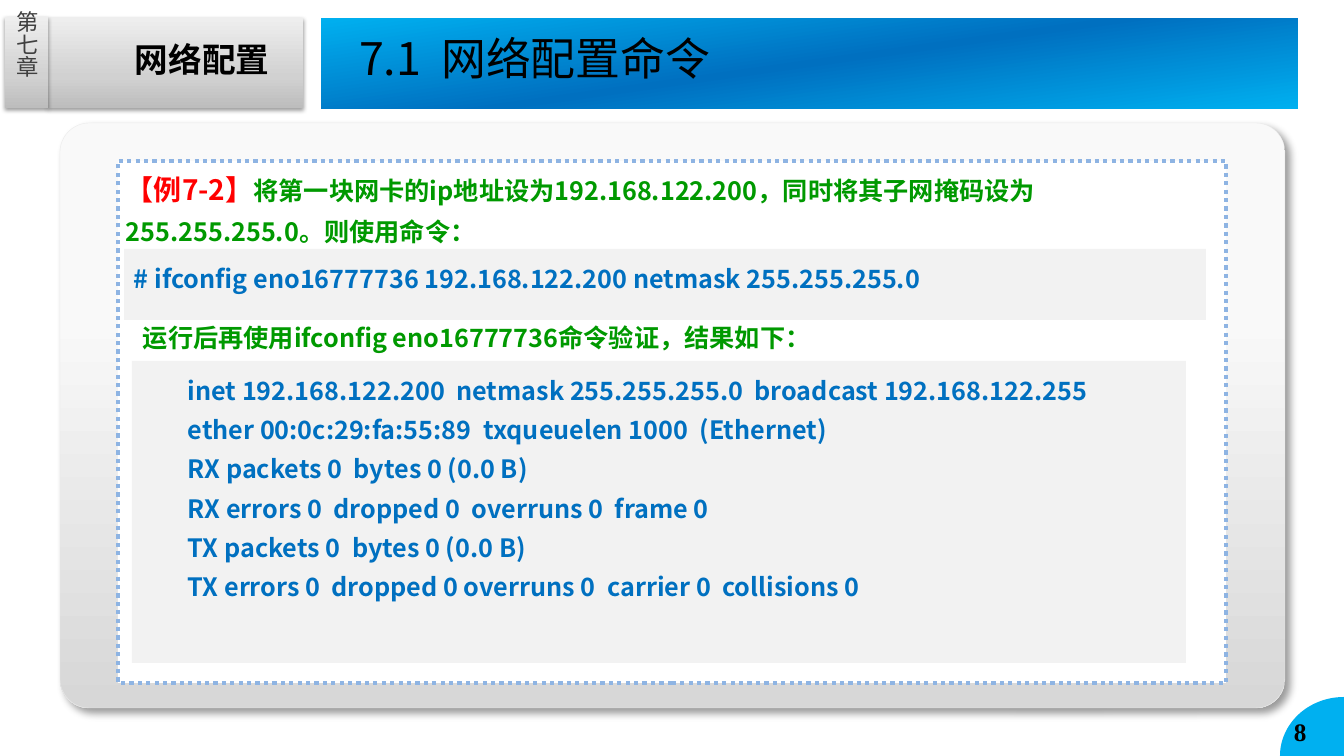
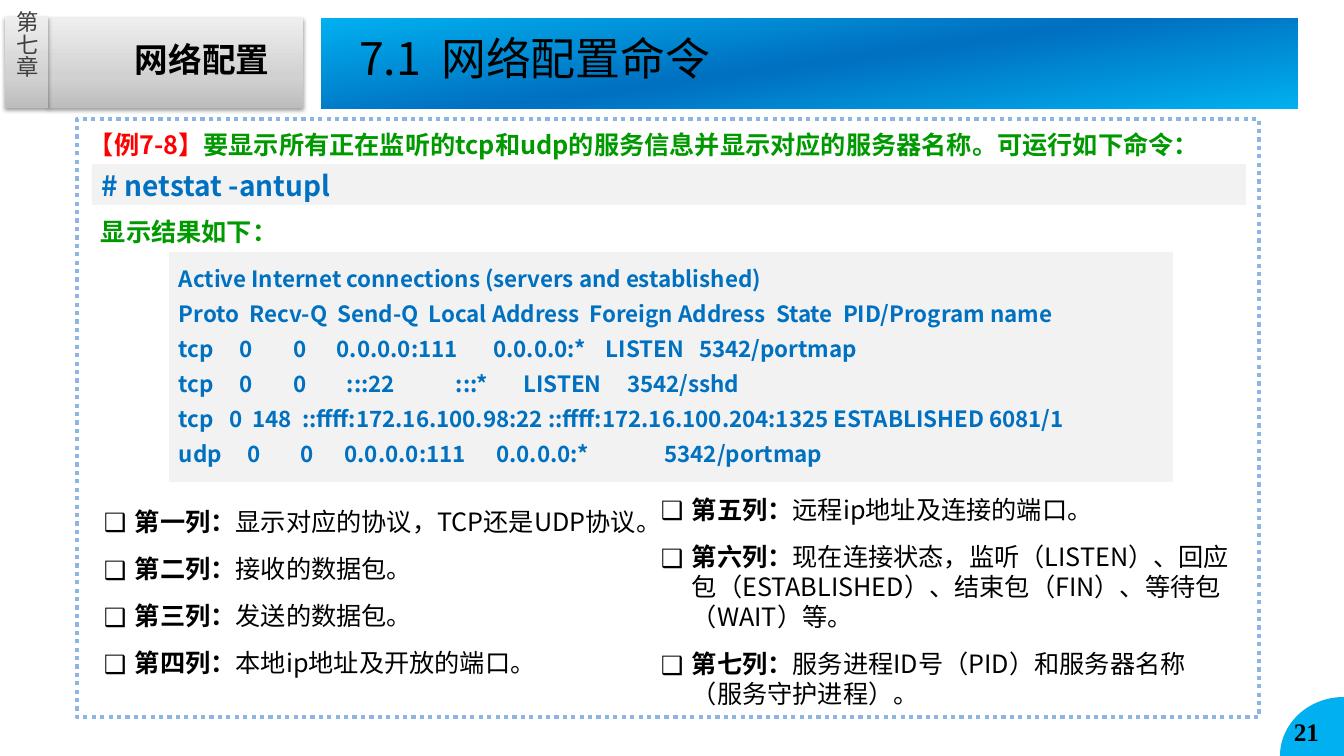
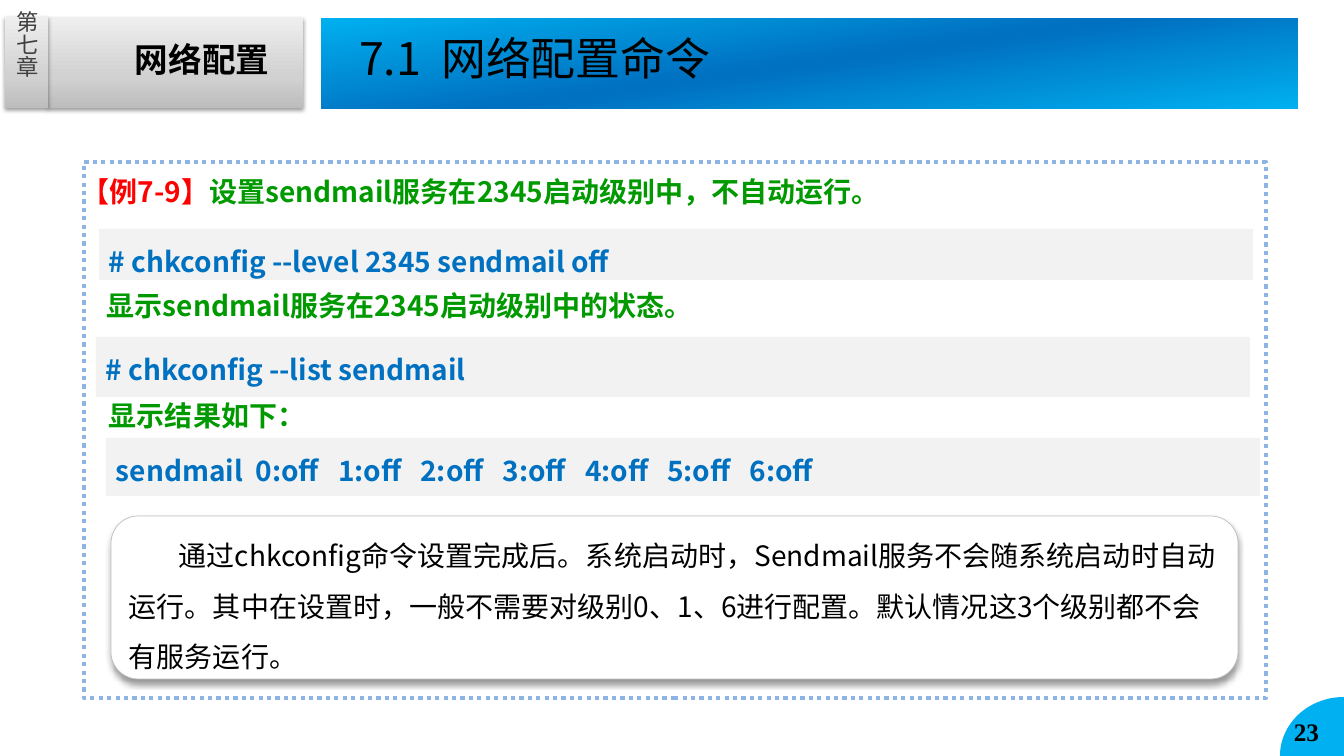
import math
from dataclasses import dataclass

from lxml import etree
from pptx import Presentation
from pptx.dml.color import RGBColor
from pptx.enum.dml import MSO_LINE
from pptx.enum.shapes import MSO_SHAPE
from pptx.enum.text import MSO_ANCHOR, MSO_AUTO_SIZE, PP_ALIGN
from pptx.oxml.ns import qn
from pptx.util import Emu, Pt

RECTANGLE = MSO_SHAPE.RECTANGLE
ROUNDED = MSO_SHAPE.ROUNDED_RECTANGLE
DOTTED = MSO_LINE.ROUND_DOT
TOP, MIDDLE = MSO_ANCHOR.TOP, MSO_ANCHOR.MIDDLE
LEFT = PP_ALIGN.LEFT
FIXED_SIZE = MSO_AUTO_SIZE.NONE

EMU_PER_PX = 914400 / 100.8
PAGE_WIDTH, PAGE_HEIGHT = 1344, 756
TITLE_ONLY = 5
LINE_HEIGHT = 1.2
INDENT = 31

SANS = "Noto Sans CJK SC"
SERIF = "Times New Roman"
HEADING = "Arial"

BLACK = RGBColor(0x00, 0x00, 0x00)
WHITE = RGBColor(0xFF, 0xFF, 0xFF)
DARK_GRAY = RGBColor(0x40, 0x40, 0x40)
CODE_GRAY = RGBColor(0xF2, 0xF2, 0xF2)
PANEL_EDGE = RGBColor(0xEA, 0xEA, 0xEA)
CALLOUT_EDGE = RGBColor(0xBF, 0xBF, 0xBF)
FRAME_BLUE = RGBColor(0x8E, 0xB4, 0xE3)
SKY = RGBColor(0x00, 0xB0, 0xF0)
BLUE = RGBColor(0x00, 0x70, 0xC0)
GREEN = RGBColor(0x00, 0x99, 0x00)
RED = RGBColor(0xFF, 0x00, 0x00)

TAB_GRADIENT = (
    [(0, RGBColor(0xBD, 0xBD, 0xBD)), (35, RGBColor(0xD1, 0xD1, 0xD1)),
     (100, RGBColor(0xEE, 0xEE, 0xEE))], 270)
BAND_GRADIENT = ([(0, SKY), (50, BLUE), (100, SKY)], 262)
PANEL_GRADIENT = (
    [(33, RGBColor(0xF9, 0xF9, 0xF9)), (100, RGBColor(0xD7, 0xD7, 0xD7))], 90)


@dataclass
class Style:
    size: int
    color: RGBColor = BLACK
    bold: bool = False
    font: str = SANS


@dataclass
class Shadow:
    opacity: int
    blur: float
    distance: float
    angle: int


TAB_SHADOW = Shadow(38, 3.1, 1.6, 90)
PANEL_SHADOW = Shadow(40, 6, 5, 45)
CALLOUT_SHADOW = Shadow(40, 4, 3, 90)


def px(length):
    return Emu(round(length * EMU_PER_PX))


def place(shape, at):
    shape.left, shape.top, shape.width, shape.height = map(px, at)


def add_element(parent, tag, **attributes):
    element = etree.SubElement(parent, qn(tag))
    for name, value in attributes.items():
        element.set(name, str(value))
    return element


def add_color(parent, color):
    return add_element(parent, "a:srgbClr", val=color)


def fill_gradient(shape, gradient):
    stops, angle = gradient
    shape.fill.gradient()
    fill = shape.element.spPr.find(qn("a:gradFill"))
    fill.clear()
    stop_list = add_element(fill, "a:gsLst")
    for position, color in stops:
        add_color(add_element(stop_list, "a:gs", pos=position * 1000), color)
    add_element(fill, "a:lin", ang=angle * 60000, scaled=0)


def cast_shadow(shape, shadow):
    effects = shape.element.spPr.find(qn("a:effectLst"))
    outer = add_element(
        effects, "a:outerShdw", blurRad=Pt(shadow.blur), dist=Pt(shadow.distance),
        dir=shadow.angle * 60000, algn="ctr", rotWithShape=0)
    add_element(add_color(outer, BLACK), "a:alpha", val=shadow.opacity * 1000)


def set_outline(shape, color=None, width=0):
    if color is None:
        shape.line.fill.background()
    else:
        shape.line.color.rgb = color
        shape.line.width = Pt(width)


def add_block(page, at, fill, kind=RECTANGLE, edge=None, width=0, shadow=None):
    shape = page.shapes.add_shape(kind, *map(px, at))
    shape.shadow.inherit = False
    if isinstance(fill, RGBColor):
        shape.fill.solid()
        shape.fill.fore_color.rgb = fill
    else:
        fill_gradient(shape, fill)
    set_outline(shape, edge, width)
    if shadow:
        cast_shadow(shape, shadow)
    return shape


def format_span(span, style):
    span.font.size = Pt(style.size)
    span.font.bold = style.bold
    span.font.color.rgb = style.color
    span.font.name = style.font
    east_asian = SANS if style.font == HEADING else style.font
    add_element(span.font._element, "a:ea", typeface=east_asian)


def write_para(para, spans, spacing=1):
    for text, style in spans:
        span = para.add_run()
        span.text = text
        format_span(span, style)
    largest = max(style.size for text, style in spans)
    para.line_spacing = Pt(round(largest * LINE_HEIGHT * spacing, 1))
    para.alignment = LEFT


def prepare_frame(shape, anchor=TOP):
    frame = shape.text_frame
    frame.word_wrap = True
    frame.auto_size = FIXED_SIZE
    frame.vertical_anchor = anchor
    return frame


def set_indent(para, margin, first_line):
    properties = para._p.get_or_add_pPr()
    properties.set("marL", str(px(margin)))
    properties.set("indent", str(px(first_line)))
    return properties


def add_text(page, at, spans, spacing=1):
    box = page.shapes.add_textbox(*map(px, at))
    frame = prepare_frame(box)
    write_para(frame.paragraphs[0], spans, spacing)
    return frame


def add_note(page, at, text, size, label=None, label_size=None):
    spans = [(text, Style(size, GREEN, True))]
    if label:
        spans.insert(0, (label, Style(label_size or size, RED, True)))
    add_text(page, at, spans, 1.2)


def add_code(page, at, lines, size, spacing=1.3):
    frame = prepare_frame(add_block(page, at, CODE_GRAY))
    for index, line in enumerate(lines):
        para = frame.add_paragraph() if index else frame.paragraphs[0]
        write_para(para, [(line, Style(size, BLUE, True))], spacing)


def add_bullets(page, at, items):
    frame = prepare_frame(page.shapes.add_textbox(*map(px, at)))
    for index, (term, meaning) in enumerate(items):
        para = frame.add_paragraph() if index else frame.paragraphs[0]
        properties = set_indent(para, INDENT, -INDENT)
        add_element(properties, "a:buFont", typeface=SANS)
        add_element(properties, "a:buChar", char="❑")
        write_para(para, [(term, Style(18, bold=True)), (meaning, Style(18))])
        para.space_before = Pt(6 if index else 0)
        para.space_after = Pt(6)


def add_callout(page, at, text):
    shape = add_block(page, at, WHITE, ROUNDED, CALLOUT_EDGE, 0.5, CALLOUT_SHADOW)
    para = prepare_frame(shape, MIDDLE).paragraphs[0]
    set_indent(para, 0, 50)
    write_para(para, [(text, Style(20))], 1.5)


def add_frame(page, at):
    shape = add_block(page, at, WHITE, edge=FRAME_BLUE, width=3)
    shape.line.dash_style = DOTTED


def add_title(page):
    title = page.shapes.title
    place(title, (321, 18, 977, 91))
    fill_gradient(title, BAND_GRADIENT)
    frame = prepare_frame(title)
    frame.margin_left, frame.margin_top = px(38), px(13)
    frame.margin_right = frame.margin_bottom = 0
    write_para(frame.paragraphs[0], [("7.1  网络配置命令", Style(32))])


def add_chapter_tab(page):
    add_block(page, (48, 18, 255, 90), TAB_GRADIENT, shadow=TAB_SHADOW)
    add_text(page, (125, 34, 178, 53), [("网络配置", Style(24, bold=True, font=HEADING))])
    add_block(page, (5, 17, 43, 91), TAB_GRADIENT, shadow=TAB_SHADOW)
    frame = add_text(page, (12, 11, 29, 106), [("第七章", Style(16, DARK_GRAY))])
    frame.margin_left = frame.margin_right = frame.margin_top = frame.margin_bottom = 0
    frame.vertical_anchor = MIDDLE
    frame._txBody.bodyPr.set("vert", "eaVert")


def add_page_number(page, number):
    width, height = 64, 59
    angles = [math.radians(step) for step in range(0, 91, 3)]
    arc = [(px(PAGE_WIDTH - width * math.cos(angle)),
            px(PAGE_HEIGHT - height * math.sin(angle))) for angle in angles]
    builder = page.shapes.build_freeform(px(PAGE_WIDTH), px(PAGE_HEIGHT))
    builder.add_line_segments(arc, close=True)
    corner = builder.convert_to_shape()
    corner.shadow.inherit = False
    corner.fill.solid()
    corner.fill.fore_color.rgb = SKY
    set_outline(corner)
    add_text(page, (1284, 711, 60, 40), [(str(number), Style(18, bold=True, font=SERIF))])


def add_page(deck, number):
    page = deck.slides.add_slide(deck.slide_layouts[TITLE_ONLY])
    add_title(page)
    add_chapter_tab(page)
    add_page_number(page, number)
    return page


def build_ifconfig(deck):
    page = add_page(deck, 8)
    panel = add_block(page, (60, 123, 1225, 585), PANEL_GRADIENT, ROUNDED,
                      PANEL_EDGE, 0.25, PANEL_SHADOW)
    panel.adjustments[0] = 0.05
    add_frame(page, (118, 161, 1108, 522))
    add_note(page, (116, 161, 1126, 87),
             "将第一块网卡的ip地址设为192.168.122.200，同时将其子网掩码设为"
             "255.255.255.0。则使用命令：", 18, "【例7-2】", 20)
    add_code(page, (124, 249, 1082, 71),
             ["# ifconfig eno16777736 192.168.122.200 netmask 255.255.255.0"], 18)
    add_note(page, (133, 311, 901, 46),
             "运行后再使用ifconfig eno16777736命令验证，结果如下：", 18)
    add_code(page, (132, 361, 1054, 302), [
        "        inet 192.168.122.200  netmask 255.255.255.0  broadcast 192.168.122.255",
        "        ether 00:0c:29:fa:55:89  txqueuelen 1000  (Ethernet)",
        "        RX packets 0  bytes 0 (0.0 B)",
        "        RX errors 0  dropped 0  overruns 0  frame 0",
        "        TX packets 0  bytes 0 (0.0 B)",
        "        TX errors 0  dropped 0 overruns 0  carrier 0  collisions 0",
    ], 18)


def build_netstat(deck):
    page = add_page(deck, 21)
    add_frame(page, (77, 119, 1182, 598))
    add_code(page, (169, 252, 1004, 230), [
        "Active Internet connections (servers and established)",
        "Proto  Recv-Q  Send-Q  Local Address  Foreign Address  State  PID/Program name",
        "tcp     0        0      0.0.0.0:111       0.0.0.0:*    LISTEN   5342/portmap",
        "tcp     0        0        :::22            :::*       LISTEN     3542/sshd",
        "tcp   0  148  ::ffff:172.16.100.98:22 ::ffff:172.16.100.204:1325 ESTABLISHED 6081/1",
        "udp     0        0      0.0.0.0:111      0.0.0.0:*               5342/portmap",
    ], 16)
    add_note(page, (79, 118, 1180, 46),
             "要显示所有正在监听的tcp和udp的服务信息并显示对应的服务器名称。可运行如下命令：",
             18, "【例7-8】")
    add_note(page, (91, 205, 1180, 46), "显示结果如下：", 18)
    add_code(page, (92, 164, 1154, 41), ["# netstat -antupl"], 20, 1)
    add_bullets(page, (94, 501, 560, 210), [
        ("第一列：", "显示对应的协议，TCP还是UDP协议。"),
        ("第二列：", "接收的数据包。"),
        ("第三列：", "发送的数据包。"),
        ("第四列：", "本地ip地址及开放的端口。"),
    ])
    add_bullets(page, (651, 489, 593, 225), [
        ("第五列：", "远程ip地址及连接的端口。"),
        ("第六列：", "现在连接状态，监听（LISTEN）、回应包（ESTABLISHED）、"
                 "结束包（FIN）、等待包（WAIT）等。"),
        ("第七列：", "服务进程ID号（PID）和服务器名称（服务守护进程）。"),
    ])


def build_chkconfig(deck):
    page = add_page(deck, 23)
    add_frame(page, (84, 162, 1182, 536))
    add_code(page, (96, 337, 1154, 60), ["# chkconfig --list sendmail"], 20)
    add_note(page, (72, 163, 1180, 50),
             "设置sendmail服务在2345启动级别中，不自动运行。", 20, "【例7-9】")
    add_note(page, (97, 277, 1180, 50), "显示sendmail服务在2345启动级别中的状态。", 20)
    add_code(page, (99, 229, 1154, 51), ["# chkconfig --level 2345 sendmail off"], 20)
    add_note(page, (99, 387, 1180, 50), "显示结果如下：", 20)
    add_code(page, (106, 438, 1154, 58),
             ["sendmail  0:off   1:off   2:off   3:off   4:off   5:off   6:off"], 20)
    add_callout(page, (111, 516, 1127, 163),
                "通过chkconfig命令设置完成后。系统启动时，Sendmail服务不会随系统启动时"
                "自动运行。其中在设置时，一般不需要对级别0、1、6进行配置。默认情况这3个"
                "级别都不会有服务运行。")


def main():
    deck = Presentation()
    deck.slide_width, deck.slide_height = px(PAGE_WIDTH), px(PAGE_HEIGHT)
    build_ifconfig(deck)
    build_netstat(deck)
    build_chkconfig(deck)
    deck.save("out.pptx")


if __name__ == "__main__":
    main()
